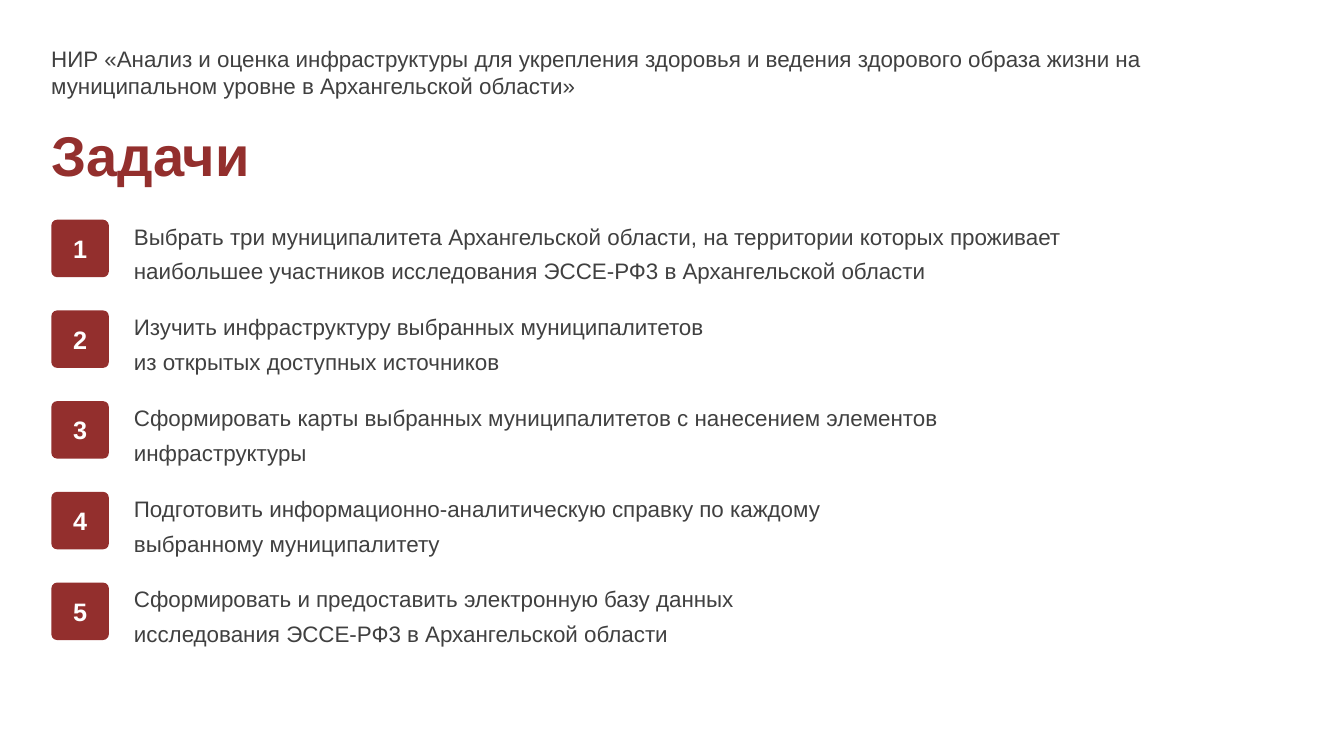
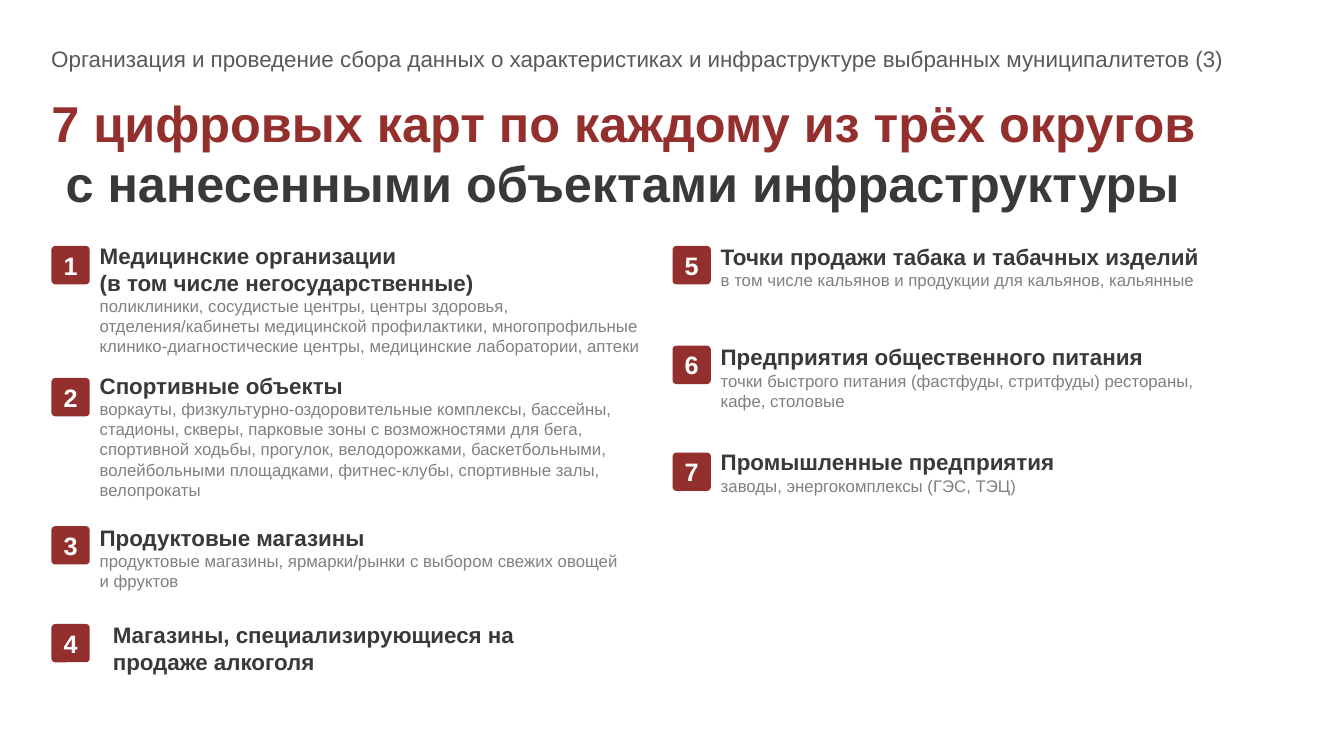
from pptx import Presentation
from pptx.dml.color import RGBColor
from pptx.enum.shapes import MSO_SHAPE
from pptx.enum.text import MSO_ANCHOR, MSO_AUTO_SIZE, PP_ALIGN
from pptx.util import Inches, Pt

ROUNDED = MSO_SHAPE.ROUNDED_RECTANGLE
TOP, MIDDLE = MSO_ANCHOR.TOP, MSO_ANCHOR.MIDDLE
LEFT, CENTER = PP_ALIGN.LEFT, PP_ALIGN.CENTER
NO_FIT, GROW = MSO_AUTO_SIZE.NONE, MSO_AUTO_SIZE.SHAPE_TO_FIT_TEXT
TITLE_ONLY = 5


def color(value):
    return RGBColor.from_string(value)


class Deck:
    FONT = "Arial"
    ACCENT, WHITE = "932F2D", "FFFFFF"
    TEXT, KICKER, DARK, MUTED = "404040", "595959", "3B3838", "808080"
    TEXT_LEFT, BADGE_LEFT = 0.41, 0.51

    def __init__(self):
        self.presentation = Presentation()
        self.presentation.slide_width = Inches(13.33)
        self.presentation.slide_height = Inches(7.5)
        self.slide = None

    def add_slide(self):
        layout = self.presentation.slide_layouts[TITLE_ONLY]
        self.slide = self.presentation.slides.add_slide(layout)

    def run(self, paragraph, text, size, hex_color, bold=False):
        """Add text as runs, with a line break at each newline."""
        for index, line in enumerate(text.split("\n")):
            if index:
                paragraph.add_line_break()
            run = paragraph.add_run()
            run.text = line
            run.font.name = self.FONT
            run.font.size = Pt(size)
            run.font.bold = bold
            run.font.color.rgb = color(hex_color)

    def text_box(self, shapes, left, top, width, height):
        box = shapes.add_textbox(*map(Inches, (left, top, width, height)))
        box.text_frame.word_wrap = True
        box.text_frame.auto_size = GROW
        return box.text_frame

    def kicker(self, text, width, height, hex_color):
        frame = self.text_box(self.slide.shapes, self.TEXT_LEFT, 0.4, width, height)
        self.run(frame.paragraphs[0], text, 16, hex_color)

    def title(self, lines, top, width, height, size):
        """Fill the title with lines of (text, colour, left indent)."""
        title = self.slide.shapes.title
        title.left, title.top = Inches(self.TEXT_LEFT), Inches(top)
        title.width, title.height = Inches(width), Inches(height)
        frame = title.text_frame
        frame.word_wrap = True
        frame.auto_size = NO_FIT
        frame.vertical_anchor = TOP
        for index, (text, hex_color, indent) in enumerate(lines):
            paragraph = frame.add_paragraph() if index else frame.paragraphs[0]
            paragraph.alignment = LEFT
            if indent:
                paragraph._p.get_or_add_pPr().set("marL", str(Inches(indent)))
            self.run(paragraph, text, size, hex_color, bold=True)

    def badge(self, shapes, number, left, top, size):
        badge = shapes.add_shape(ROUNDED, *map(Inches, (left, top, size, size)))
        badge.adjustments[0] = 0.1
        badge.shadow.inherit = False
        badge.fill.solid()
        badge.fill.fore_color.rgb = color(self.ACCENT)
        badge.line.fill.background()
        frame = badge.text_frame
        frame.margin_left = frame.margin_right = 0
        frame.vertical_anchor = MIDDLE
        frame.paragraphs[0].alignment = CENTER
        self.run(frame.paragraphs[0], str(number), 18, self.WHITE, bold=True)

    def task(self, number, text, top, width):
        shapes = self.slide.shapes.add_group_shape().shapes
        frame = self.text_box(shapes, 1.23, top, width, 0.8)
        frame.paragraphs[0].line_spacing = 1.3
        self.run(frame.paragraphs[0], text, 16, self.TEXT)
        self.badge(shapes, number, self.BADGE_LEFT, top + 0.1, 0.57)

    def map_topic(self, number, heading, details, badge_at, text_at):
        shapes = self.slide.shapes
        frame = self.text_box(shapes, *text_at)
        self.run(frame.paragraphs[0], heading, 16, self.DARK, bold=True)
        if details:
            self.run(frame.add_paragraph(), details, 12, self.MUTED)
        self.badge(shapes, number, *badge_at, 0.38)


def tasks_slide(deck):
    deck.add_slide()
    deck.kicker("НИР «Анализ и оценка инфраструктуры для укрепления здоровья и ведения "
                "здорового образа жизни на муниципальном уровне в Архангельской области»",
                11.17, 0.64, deck.TEXT)
    deck.title([("Задачи", deck.ACCENT, 0)], 1.15, 12.17, 0.77, 40)
    tasks = [
        ("Выбрать три муниципалитета Архангельской области, на территории которых проживает "
         "наибольшее участников исследования ЭССЕ-РФ3 в Архангельской области", 10.03),
        ("Изучить инфраструктуру выбранных муниципалитетов "
         "из открытых доступных источников", 6.06),
        ("Сформировать карты выбранных муниципалитетов с нанесением элементов "
         "инфраструктуры", 8.19),
        ("Подготовить информационно-аналитическую справку по каждому "
         "выбранному муниципалитету", 8.19),
        ("Сформировать и предоставить электронную базу данных "
         "исследования ЭССЕ-РФ3 в Архангельской области", 6.52),
    ]
    for index, (text, width) in enumerate(tasks):
        deck.task(index + 1, text, 2.08 + 0.9 * index, width)


def maps_slide(deck):
    deck.add_slide()
    deck.kicker("Организация и проведение сбора данных о характеристиках и инфраструктуре "
                "выбранных муниципалитетов (3)", 12.12, 0.37, deck.KICKER)
    deck.title([("7 цифровых карт по каждому из трёх округов", deck.ACCENT, 0),
                ("с нанесенными объектами инфраструктуры", deck.DARK, 0.14)],
               0.86, 12.53, 1.31, 36)
    left, right = deck.BADGE_LEFT, 6.67
    left_text, right_text = left + 0.38, right + 0.38
    topics = [
        ("Медицинские организации\n(в том числе негосударственные)",
         "поликлиники, сосудистые центры, центры здоровья, отделения/кабинеты медицинской "
         "профилактики, многопрофильные клинико-диагностические центры, медицинские "
         "лаборатории, аптеки",
         (left, 2.44), (left_text, 2.35, 5.88, 1.25)),
        ("Спортивные объекты",
         "воркауты, физкультурно-оздоровительные комплексы, бассейны, стадионы, скверы, "
         "парковые зоны с возможностями для бега, спортивной ходьбы, прогулок, "
         "велодорожками, баскетбольными, волейбольными площадками, фитнес-клубы, "
         "спортивные залы, велопрокаты",
         (left, 3.75), (left_text, 3.64, 5.88, 1.38)),
        ("Продуктовые магазины",
         "продуктовые магазины, ярмарки/рынки с выбором свежих овощей и фруктов",
         (left, 5.22), (left_text, 5.15, 5.38, 0.77)),
        ("Магазины, специализирующиеся на продаже алкоголя", "",
         (left, 6.19), (1.02, 6.11, 5.12, 0.64)),
        ("Точки продажи табака и табачных изделий",
         "в том числе кальянов и продукции для кальянов, кальянные",
         (right, 2.44), (right_text, 2.36, 5.14, 0.57)),
        ("Предприятия общественного питания",
         "точки быстрого питания (фастфуды, стритфуды) рестораны, кафе, столовые",
         (right, 3.43), (right_text, 3.36, 5.24, 0.77)),
        ("Промышленные предприятия", "заводы, энергокомплексы (ГЭС, ТЭЦ)",
         (right, 4.49), (right_text, 4.4, 5.88, 0.57)),
    ]
    for number, topic in enumerate(topics, start=1):
        deck.map_topic(number, *topic)


def main():
    deck = Deck()
    tasks_slide(deck)
    maps_slide(deck)
    deck.presentation.save("out.pptx")


if __name__ == "__main__":
    main()
